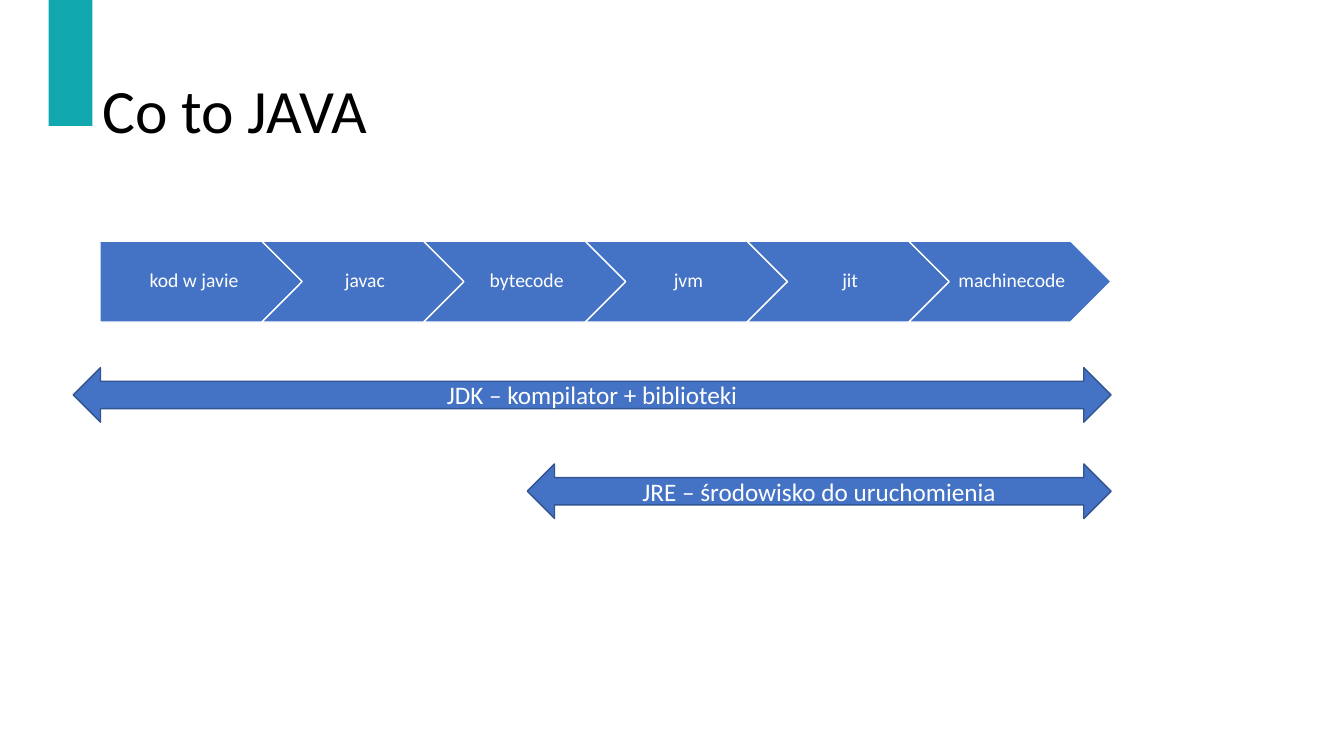
import pptx
import pptx.util
import pptx.dml.color
import pptx.enum.shapes
import pptx.enum.text

Pt = pptx.util.Pt
RGBColor = pptx.dml.color.RGBColor
MSO_SHAPE = pptx.enum.shapes.MSO_SHAPE
PP_ALIGN = pptx.enum.text.PP_ALIGN
MSO_ANCHOR = pptx.enum.text.MSO_ANCHOR

BLACK = RGBColor(0x00, 0x00, 0x00)
WHITE = RGBColor(0xFF, 0xFF, 0xFF)
TEAL = RGBColor(0x10, 0xA8, 0xAE)
BLUE = RGBColor(0x44, 0x72, 0xC4)
DARK_BLUE = RGBColor(0x32, 0x54, 0x91)


def add_box(kind, left, top, width, height, fill, line=None):
    sp = s.shapes.add_shape(kind, Pt(left), Pt(top), Pt(width), Pt(height))
    sp.shadow.inherit = False
    sp.fill.solid()
    sp.fill.fore_color.rgb = fill
    if line is None:
        sp.line.fill.background()
    else:
        sp.line.color.rgb = line
        sp.line.width = Pt(1)
    return sp


def write(sp, text, size, color, align):
    tf = sp.text_frame
    tf.text = text
    tf.word_wrap = True
    tf.vertical_anchor = MSO_ANCHOR.MIDDLE
    p = tf.paragraphs[0]
    p.alignment = align
    r = p.runs[0]
    r.font.name = "Calibri"
    r.font.size = Pt(size)
    r.font.color.rgb = color
    return tf


prs = pptx.Presentation()
prs.slide_width, prs.slide_height = Pt(960), Pt(540)
s = prs.slides.add_slide(prs.slide_layouts[6])

# Title and accent bar
title = s.shapes.add_textbox(Pt(66), Pt(28.75), Pt(828), Pt(104.4))
tf = write(title, "Co to JAVA", 44, BLACK, PP_ALIGN.LEFT)
tf.paragraphs[0].line_spacing = 0.9
add_box(MSO_SHAPE.RECTANGLE, 34.8, 0, 31.2, 90, TEAL)

# Scope arrows, both ending at the same right edge
RIGHT_EDGE = 793.6
for left, top, text in [
    (52.3, 262.6, "JDK – kompilator + biblioteki"),
    (376.6, 331.4, "JRE – środowisko do uruchomienia"),
]:
    sp = add_box(MSO_SHAPE.LEFT_RIGHT_ARROW, left, top, RIGHT_EDGE - left, 39,
                 BLUE, DARK_BLUE)
    write(sp, text, 18, WHITE, PP_ALIGN.CENTER)

# Compilation steps
STEP_PITCH = 115.54
steps = ["kod w javie", "javac", "bytecode", "jvm", "jit", "machinecode"]
for i, step in enumerate(steps):
    kind = MSO_SHAPE.CHEVRON if i else MSO_SHAPE.PENTAGON
    sp = add_box(kind, 71.5 + i * STEP_PITCH, 172.2, 144.5, 57.8, BLUE, WHITE)
    tf = write(sp, step, 14, WHITE, PP_ALIGN.CENTER)
    tf.paragraphs[0].line_spacing = 0.9
    tf.margin_left = Pt(4.2 if i else 5.6)
    tf.margin_right = Pt(1.4)
    tf.margin_top = tf.margin_bottom = Pt(2.8)

prs.save("out.pptx")
